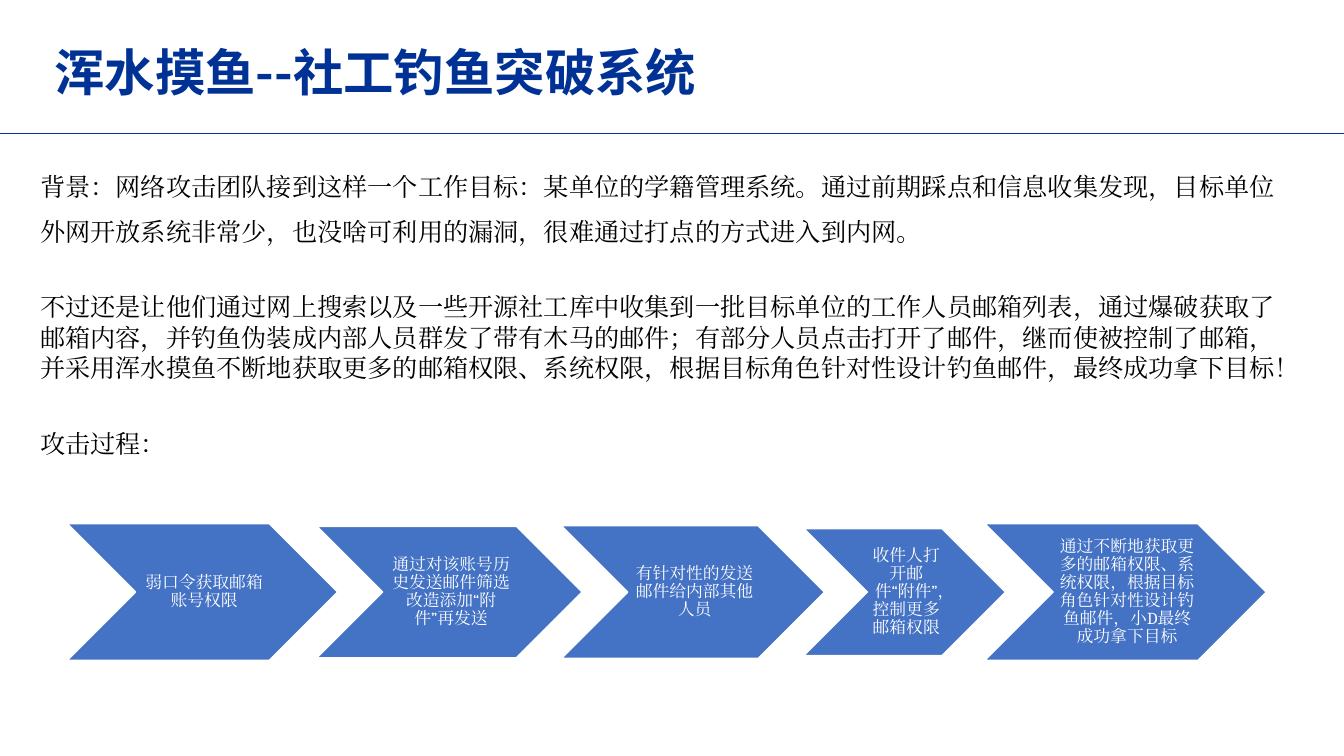
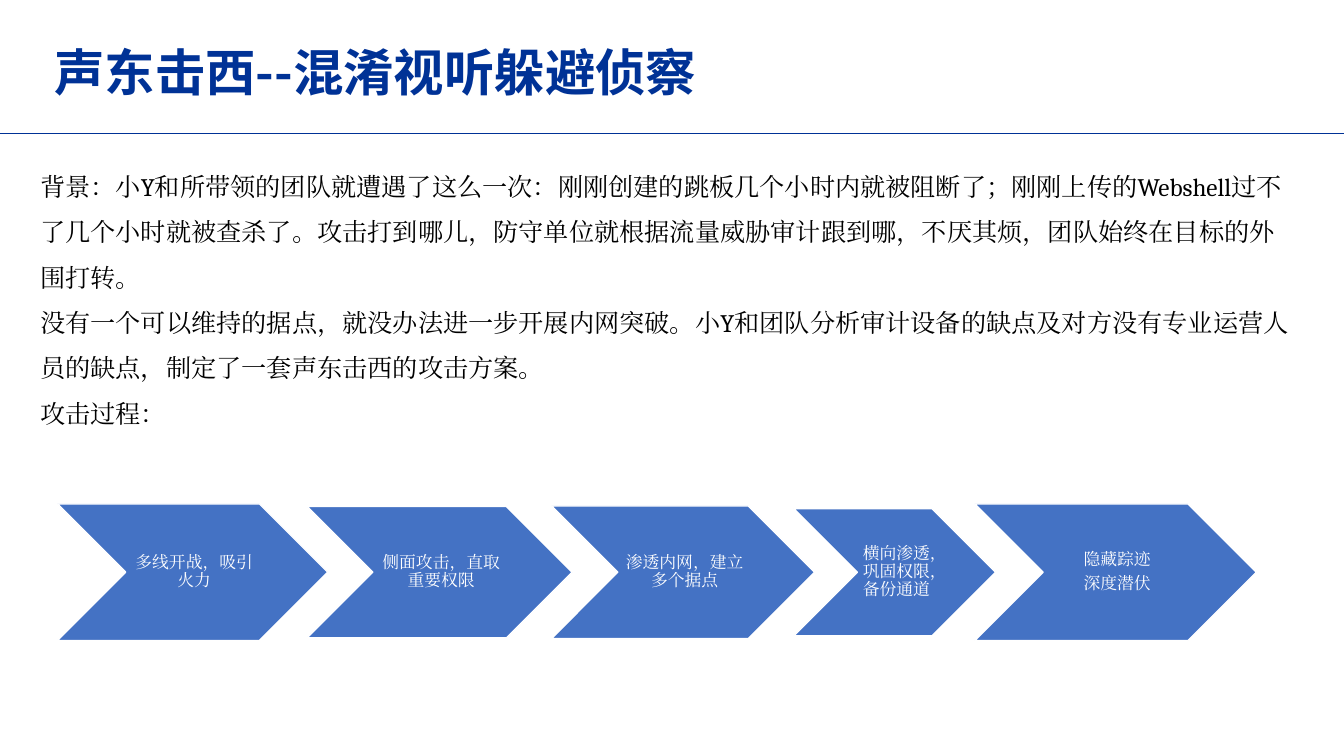
from lxml.etree import SubElement
from pptx import Presentation
from pptx.dml.color import RGBColor
from pptx.enum.shapes import MSO_CONNECTOR, MSO_SHAPE
from pptx.enum.text import MSO_ANCHOR, PP_ALIGN
from pptx.oxml.ns import qn
from pptx.util import Cm, Pt

NAVY, BLUE, WHITE, BLACK = "003296", "4472C4", "FFFFFF", "000000"
TITLE_FONT, TEXT_FONT = "Noto Sans CJK SC", "Cambria"
STEP_SIZES = [(6.81, 3.44), (6.68, 3.31), (6.63, 3.34), (5.08, 3.2), (7.09, 3.44)]
STEP_OVERLAP = 0.52

# Each paragraph: text, line spacing, space before in points
SLIDES = [
    {
        "title": "浑水摸鱼--社工钓鱼突破系统",
        "body": [
            ("背景：网络攻击团队接到这样一个工作目标：某单位的学籍管理系统。通过前期踩点和信息收集发现，目标单位外网开放系统非常少，也没啥可利用的漏洞，很难通过打点的方式进入到内网。", 1.5, 0),
            ("不过还是让他们通过网上搜索以及一些开源社工库中收集到一批目标单位的工作人员邮箱列表，通过爆破获取了邮箱内容，并钓鱼伪装成内部人员群发了带有木马的邮件；有部分人员点击打开了邮件，继而使被控制了邮箱，并采用浑水摸鱼不断地获取更多的邮箱权限、系统权限，根据目标角色针对性设计钓鱼邮件，最终成功拿下目标！", 1, 32),
            ("攻击过程：", 1.5, 22),
        ],
        "body_height": 12.19,
        "steps": [
            ["弱口令获取邮箱账号权限"],
            ["通过对该账号历史发送邮件筛选改造添加“附件”再发送"],
            ["有针对性的发送邮件给内部其他人员"],
            ["收件人打开邮件“附件”，控制更多邮箱权限"],
            ["通过不断地获取更多的邮箱权限、系统权限，根据目标角色针对性设计钓鱼邮件，小D最终成功拿下目标"],
        ],
        "steps_left": 1.7,
        "steps_middle": 14.92,
    },
    {
        "title": "声东击西--混淆视听躲避侦察",
        "body": [
            ("背景：小Y和所带领的团队就遭遇了这么一次：刚刚创建的跳板几个小时内就被阻断了；刚刚上传的Webshell过不了几个小时就被查杀了。攻击打到哪儿，防守单位就根据流量威胁审计跟到哪，不厌其烦，团队始终在目标的外围打转。", 1.5, 0),
            ("没有一个可以维持的据点，就没办法进一步开展内网突破。小Y和团队分析审计设备的缺点及对方没有专业运营人员的缺点，制定了一套声东击西的攻击方案。", 1.5, 0),
            ("攻击过程：", 1.5, 0),
        ],
        "body_height": 8.33,
        "steps": [
            ["多线开战，吸引火力"],
            ["侧面攻击，直取重要权限"],
            ["渗透内网，建立多个据点"],
            ["横向渗透，巩固权限，备份通道"],
            ["隐藏踪迹", "深度潜伏"],
        ],
        "steps_left": 1.45,
        "steps_middle": 14.42,
    },
]


def rgb(value):
    return RGBColor.from_string(value)


def write(frame, paragraphs, size, color, font_name=TEXT_FONT, bold=False, align=PP_ALIGN.LEFT):
    """Fill a frame with (text, line spacing, space before) paragraphs."""
    frame.word_wrap = True
    for index, (text, line_spacing, space_before) in enumerate(paragraphs):
        paragraph = frame.paragraphs[0] if index == 0 else frame.add_paragraph()
        paragraph.text = text
        paragraph.alignment = align
        paragraph.line_spacing = line_spacing
        paragraph.space_before = Pt(space_before)
        font = paragraph.font
        font.name, font.size, font.bold = font_name, Pt(size), bold
        font.color.rgb = rgb(color)
        # Chinese characters take their font from a:ea
        defaults = paragraph._p.pPr.find(qn("a:defRPr"))
        SubElement(defaults, qn("a:ea")).set("typeface", font_name)


prs = Presentation()
prs.slide_width, prs.slide_height = Cm(33.87), Cm(19.05)

for content in SLIDES:
    slide = prs.slides.add_slide(prs.slide_layouts[6])

    rule = slide.shapes.add_connector(
        MSO_CONNECTOR.STRAIGHT, 0, Cm(3.37), prs.slide_width, Cm(3.37))
    rule.line.color.rgb = rgb(NAVY)
    rule.line.width = Pt(0.5)
    SubElement(rule._element.spPr, qn("a:effectLst"))

    title = slide.shapes.add_textbox(Cm(1.12), Cm(1.09), Cm(29.21), Cm(1.63))
    title.text_frame.vertical_anchor = MSO_ANCHOR.MIDDLE
    write(title.text_frame, [(content["title"], 0.9, 0)], 36, NAVY, TITLE_FONT, bold=True)

    body = slide.shapes.add_textbox(Cm(0.76), Cm(3.81), Cm(32.08), Cm(content["body_height"]))
    write(body.text_frame, content["body"], 18, BLACK)

    left = content["steps_left"]
    for lines, (width, height) in zip(content["steps"], STEP_SIZES):
        step = slide.shapes.add_shape(
            MSO_SHAPE.CHEVRON, Cm(left), Cm(content["steps_middle"] - height / 2),
            Cm(width), Cm(height))
        step.shadow.inherit = False
        step.fill.solid()
        step.fill.fore_color.rgb = rgb(BLUE)
        step.line.color.rgb = rgb(WHITE)
        step.line.width = Pt(1)
        frame = step.text_frame
        frame.vertical_anchor = MSO_ANCHOR.MIDDLE
        frame.margin_left = Cm(0.12)
        frame.margin_top = frame.margin_right = frame.margin_bottom = Cm(0.04)
        paragraphs = [(line, 0.9, 4 if index else 0) for index, line in enumerate(lines)]
        write(frame, paragraphs, 12, WHITE, align=PP_ALIGN.CENTER)
        left += width - STEP_OVERLAP

prs.save("out.pptx")
